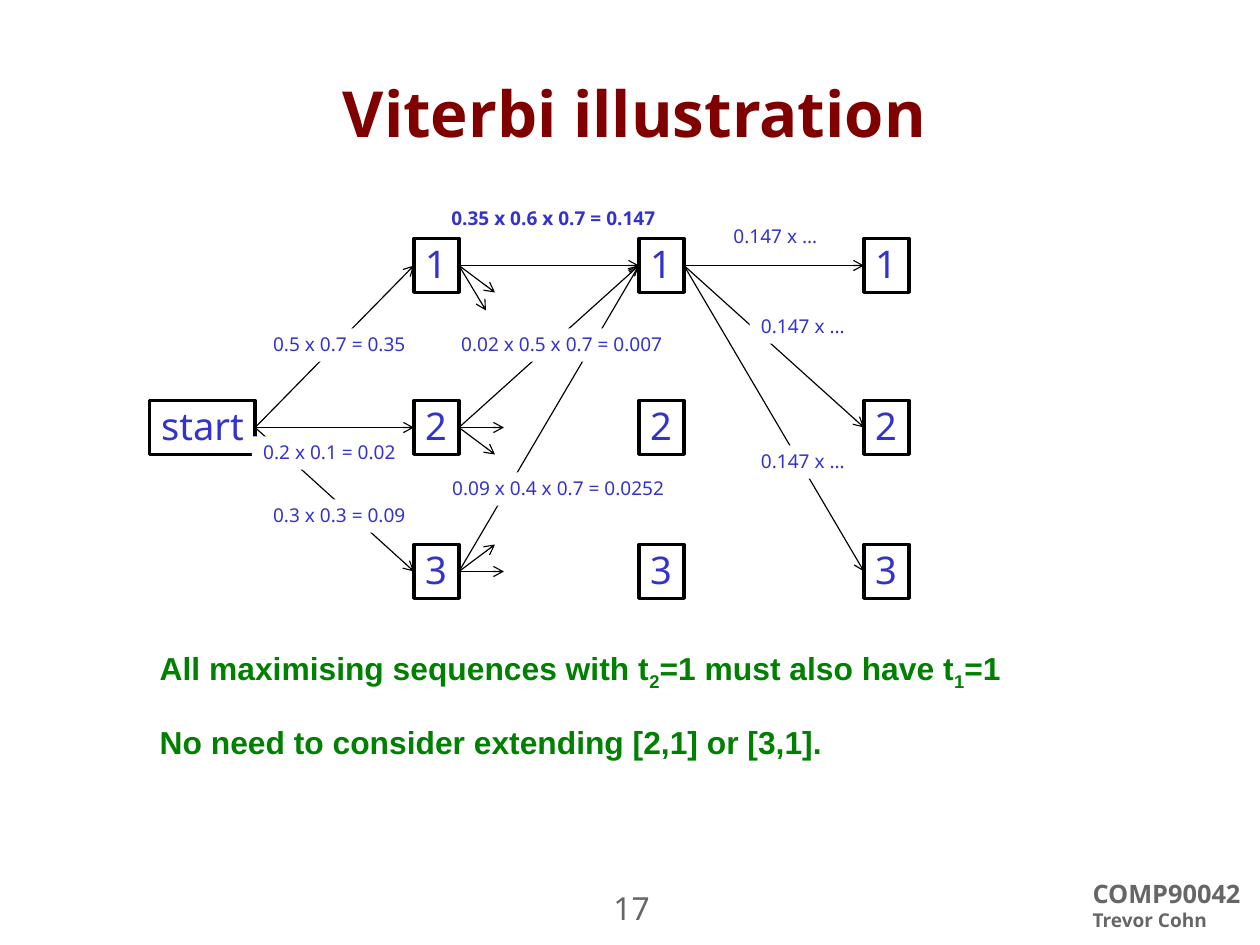
from lxml.etree import SubElement
from pptx import Presentation
from pptx.dml.color import RGBColor
from pptx.enum.shapes import MSO_CONNECTOR, MSO_SHAPE
from pptx.enum.text import MSO_ANCHOR, PP_ALIGN
from pptx.oxml.ns import qn
from pptx.util import Cm, Pt

INK = {"title": "800000", "node": "3333CC", "note": "008000",
       "foot": "666666", "line": "000000", "fill": "FFFFFF"}

deck = Presentation()
deck.slide_width, deck.slide_height = Cm(28), Cm(21)
slide = deck.slides.add_slide(deck.slide_layouts[6])
shapes = slide.shapes


def style(para, size, ink, bold=False, face="Noto Sans", space=0.93):
    para.font.size = Pt(size)
    para.font.name = face
    para.font.bold = bold
    para.font.color.rgb = RGBColor.from_string(INK[ink])
    para.line_spacing = space


def box(text, left, top, width, height, size, bold=False):
    rect = shapes.add_shape(MSO_SHAPE.RECTANGLE, Cm(left), Cm(top), Cm(width), Cm(height))
    rect.shadow.inherit = False
    rect.fill.solid()
    rect.fill.fore_color.rgb = RGBColor.from_string(INK["fill"])
    rect.line.fill.background()
    frame = rect.text_frame
    frame.word_wrap = False
    frame.vertical_anchor = MSO_ANCHOR.TOP
    frame.text = text
    para = frame.paragraphs[0]
    para.alignment = PP_ALIGN.LEFT
    style(para, size, "node", bold)
    return rect


plain = [
    (1.27, 0.9, 25.65, 3.3, PP_ALIGN.CENTER, [("Viterbi illustration", 40, "title", True)]),
    (13.4, 19.8, 1.27, 0.95, PP_ALIGN.CENTER, [("17", 20, "foot", False)]),
    (24.28, 19.55, 3.7, 1.57, PP_ALIGN.LEFT,
     [("COMP90042", 16, "foot", True), ("Trevor Cohn", 12, "foot", True)]),
]
for left, top, width, height, align, lines in plain:
    frame = shapes.add_textbox(Cm(left), Cm(top), Cm(width), Cm(height)).text_frame
    frame.word_wrap = True
    frame.margin_left = frame.margin_right = frame.margin_top = frame.margin_bottom = 0
    if top < 5:
        frame.vertical_anchor = MSO_ANCHOR.MIDDLE
    for i, (text, size, ink, bold) in enumerate(lines):
        para = frame.add_paragraph() if i else frame.paragraphs[0]
        para.text = text
        para.alignment = align
        style(para, size, ink, bold, space=0.98)

rows = [5.3, 8.9, 12.1]
nodes = {"start": box("start", 3.33, rows[1], 2.34, 1.2, 24)}
for col in range(3):
    for row, top in enumerate(rows):
        nodes[col, row] = box(str(row + 1), 9.2 + 5 * col, top, 1, 1.2, 24)
for node in nodes.values():
    node.line.color.rgb = RGBColor.from_string(INK["line"])
    node.line.width = Pt(2)

edges = [("start", (0, row)) for row in range(3)]
edges += [((0, row), (1, 0)) for row in range(3)]
edges += [((1, 0), (2, row)) for row in range(3)]
stubs = [(0, 0.8, 0.6), (0, 0.6, 1), (1, 1, 0), (1, 0.8, 0.6), (2, 1, 0), (2, 0.8, -0.6)]
edges += [((0, row), (Cm(10.2 + dx), Cm(rows[row] + 0.6 + dy))) for row, dx, dy in stubs]
for tail, head in edges:
    link = shapes.add_connector(MSO_CONNECTOR.STRAIGHT, 0, 0, 0, 0)
    link.begin_connect(nodes[tail], 3)
    if head in nodes:
        link.end_connect(nodes[head], 1)
    else:
        link.end_x, link.end_y = head
    link.line.color.rgb = RGBColor.from_string(INK["line"])
    link.line.width = Pt(0.75)
    SubElement(link.line._get_or_add_ln(), qn("a:tailEnd"), type="arrow")
    SubElement(link._element.spPr, qn("a:effectLst"))

labels = [
    ("0.5 x 0.7 = 0.35", 5.82, 7.3, 3.45),
    ("0.2 x 0.1 = 0.02", 5.6, 9.7, 3.45),
    ("0.3 x 0.3 = 0.09", 5.82, 11.1, 3.45),
    ("0.09 x 0.4 x 0.7 = 0.0252", 9.8, 10.5, 5.2),
    ("0.02 x 0.5 x 0.7 = 0.007", 10, 7.3, 5),
    ("0.35 x 0.6 x 0.7 = 0.147", 9.78, 4.5, 5.03),
    ("0.147 x …", 16.05, 4.9, 2.36),
    ("0.147 x …", 16.66, 6.9, 2.36),
    ("0.147 x …", 16.66, 9.9, 2.36),
]
for text, left, top, width in labels:
    box(text, left, top, width, 0.74, 12, text.startswith("0.35"))

frame = shapes.add_textbox(Cm(3.3), Cm(14.3), Cm(19.2), Cm(2.75)).text_frame
frame.word_wrap = False
first, last = frame.paragraphs[0], frame.add_paragraph()
for text in ["All maximising sequences with t", "2", "=1 must also have t", "1", "=1"]:
    run = first.add_run()
    run.text = text
    if text.isdigit():
        run._r.get_or_add_rPr().set("baseline", "-25000")
last.text = "No need to consider extending [2,1] or [3,1]."
first.space_after = Pt(23)
for para in (first, last):
    style(para, 20, "note", True, "Arial")

deck.save("out.pptx")
